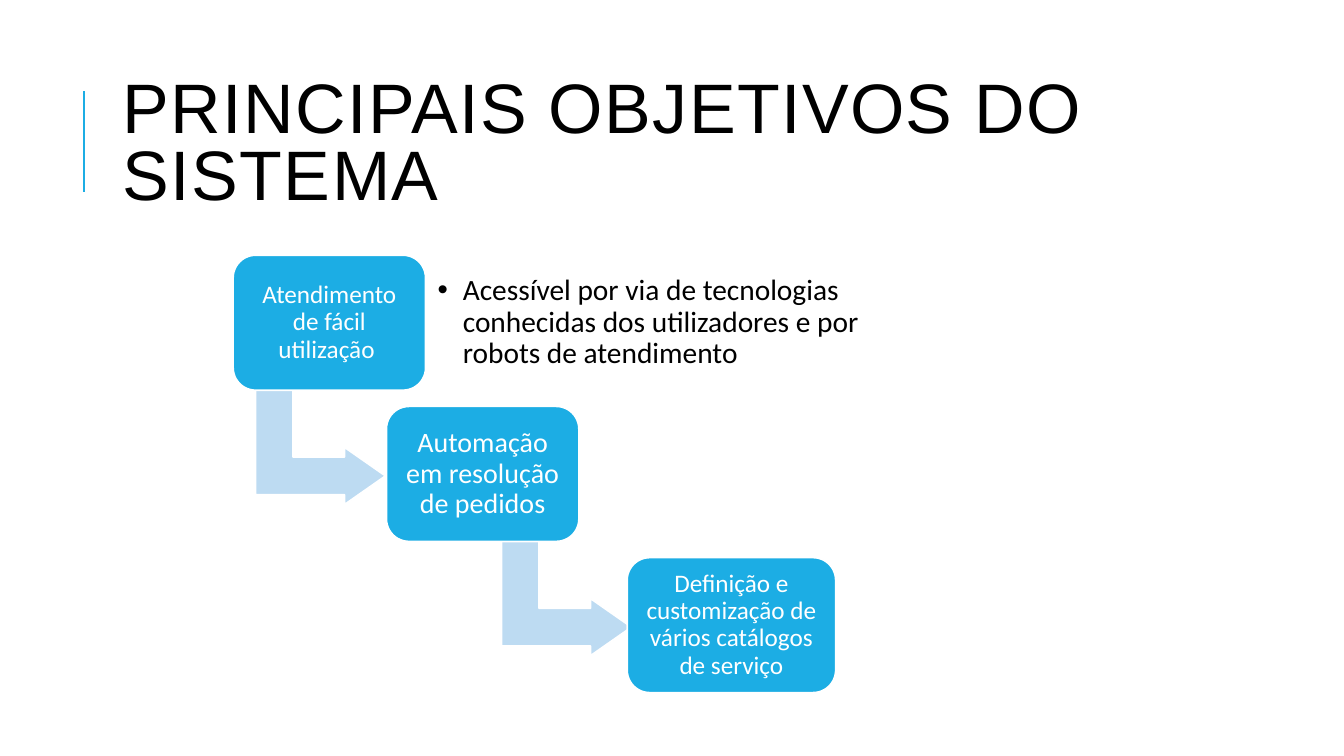
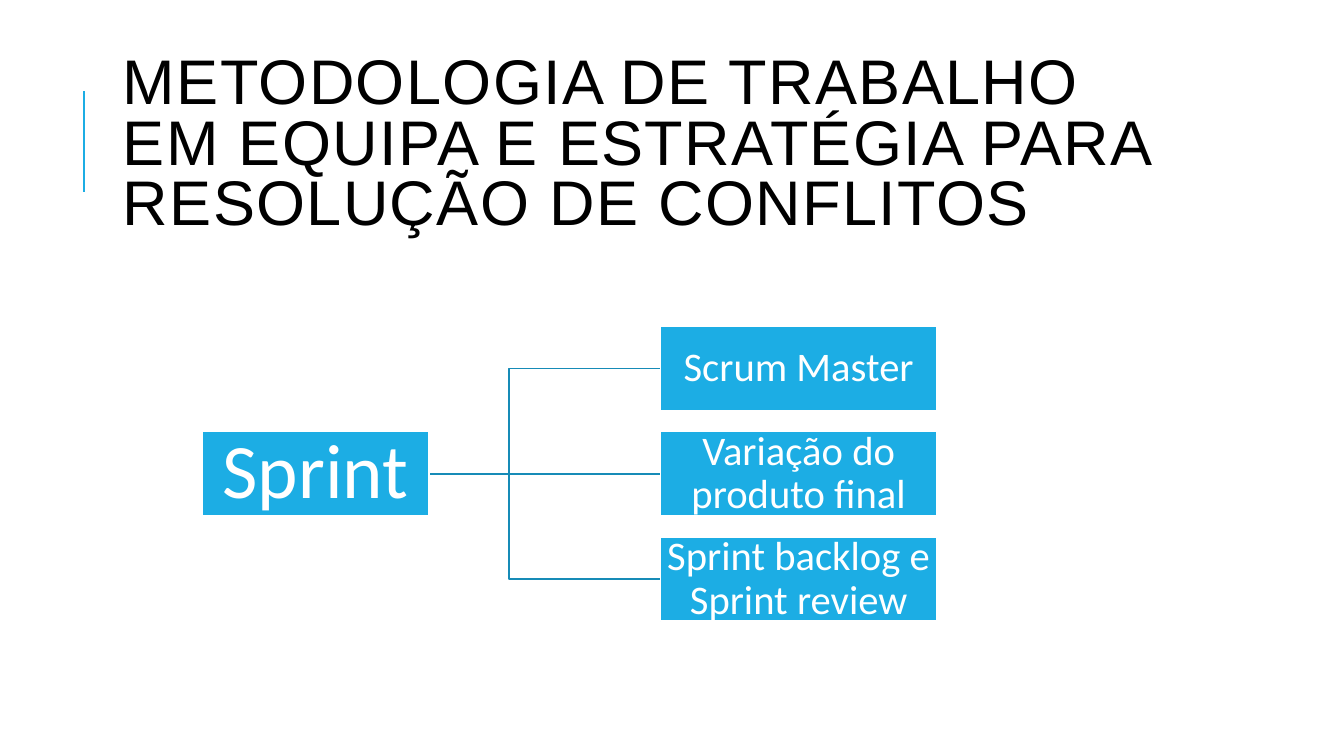
from lxml import etree
from pptx import Presentation
from pptx.dml.color import RGBColor
from pptx.enum.shapes import MSO_CONNECTOR, MSO_SHAPE
from pptx.enum.text import MSO_ANCHOR, MSO_AUTO_SIZE, PP_ALIGN
from pptx.oxml.ns import qn
from pptx.util import Pt

STRAIGHT, ELBOW = MSO_CONNECTOR.STRAIGHT, MSO_CONNECTOR.ELBOW
ROUNDED, RECTANGLE = MSO_SHAPE.ROUNDED_RECTANGLE, MSO_SHAPE.RECTANGLE
BENT_ARROW = MSO_SHAPE.BENT_UP_ARROW
MIDDLE, NO_FIT = MSO_ANCHOR.MIDDLE, MSO_AUTO_SIZE.NONE
LEFT, CENTER = PP_ALIGN.LEFT, PP_ALIGN.CENTER

COLORS = {
    "accent": "1CADE4",
    "pale": "BDDBF2",
    "branch": "168BB7",
    "text": "000000",
    "white": "FFFFFF",
}
HEADING_FONT, BODY_FONT = "Arial", "Calibri"
TITLE_AND_CONTENT, TITLE_ONLY = 1, 5
TITLE_BOX = (80.6, 46.1, 765.4, 118.1)


def color(name):
    """Return the named palette colour."""
    return RGBColor.from_string(COLORS[name])


def apply(target, values):
    """Set each attribute in values on the target."""
    for name, value in values.items():
        setattr(target, name, value)


def place(shape, box):
    """Move and size a shape to a box in points."""
    apply(shape, dict(zip(("left", "top", "width", "height"), map(Pt, box))))


def write(shape, text, size, inset, font=BODY_FONT, ink="white", align=CENTER, spacing=0.9):
    """Fill a shape with one formatted paragraph and return it."""
    frame = shape.text_frame
    margins = dict.fromkeys(("margin_left", "margin_top", "margin_right", "margin_bottom"), Pt(inset))
    apply(frame, {"word_wrap": True, "auto_size": NO_FIT, "vertical_anchor": MIDDLE, **margins})
    para = frame.paragraphs[0]
    apply(para, {"alignment": align, "line_spacing": spacing, "space_before": Pt(0)})
    span = para.add_run()
    span.text = text
    apply(span.font, {"name": font, "size": Pt(size)})
    span.font.color.rgb = color(ink)
    return para


def add_block(page, preset, box, fill, adjustments=()):
    """Add a flat preset shape with a white outline."""
    shape = page.shapes.add_shape(preset, *map(Pt, box))
    shape.shadow.inherit = False
    shape.fill.solid()
    shape.fill.fore_color.rgb = color(fill)
    shape.line.color.rgb = color("white")
    shape.line.width = Pt(1.25)
    for index, value in enumerate(adjustments):
        shape.adjustments[index] = value
    return shape


def add_line(page, kind, start, end, ink, width):
    """Add a connector without shadow between two points."""
    line = page.shapes.add_connector(kind, *map(Pt, start + end))
    line.line.color.rgb = color(ink)
    line.line.width = Pt(width)
    etree.SubElement(line._element.spPr, qn("a:effectLst"))


def add_page(deck, layout, title, size):
    """Add a slide with the shared accent rule and title style."""
    page = deck.slides.add_slide(deck.slide_layouts[layout])
    add_line(page, STRAIGHT, (60, 136.8), (60, 64.8), "accent", 1.5)
    heading = page.shapes.title
    place(heading, TITLE_BOX)
    para = write(heading, title, size, 7.2, HEADING_FONT, "text", LEFT, 0.8)
    para.runs[0].font._element.set("spc", "100")
    return page


def add_bullet(page, box, text):
    """Place the body placeholder as a bulleted description."""
    body = page.placeholders[1]
    place(body, box)
    para = write(body, text, 21, 8, ink="text", align=LEFT)
    indent = Pt(18)
    properties = para._p.get_or_add_pPr()
    properties.set("marL", str(indent))
    properties.set("indent", str(-indent))


def add_staircase(page, left, top, steps):
    """Draw descending steps, each joined to the next by a bent arrow."""
    height, pitch = 96.5, 108
    for index, (offset, width, size, inset, arrow_offset, text) in enumerate(steps):
        step_left, step_top = left + offset, top + index * pitch
        if arrow_offset is not None:
            arrow_box = (step_left + arrow_offset, step_top + 90.7, 82, 92.9)
            arrow = add_block(page, BENT_ARROW, arrow_box, "pale", (0.328, 0.25, 0.358))
            arrow.rotation = 90
        step = add_block(page, ROUNDED, (step_left, step_top, width, height), "accent", (0.167,))
        write(step, text, size, inset)


def add_tree(page, box, root, leaves):
    """Draw a root block branching to evenly spaced leaf blocks."""
    left, top, width, height = box
    root_width, leaf_width, block_height = 162, 197.5, 60.3
    leaf_left = left + width - leaf_width
    pitch = (height - block_height) / (len(leaves) - 1)
    middle = top + height / 2
    centers = [top + block_height / 2 + index * pitch for index in range(len(leaves))]
    for center in centers:
        kind = STRAIGHT if abs(center - middle) < 1 else ELBOW
        add_line(page, kind, (left + 111, middle), (leaf_left, center), "branch", 1.25)
    root_box = (left, middle - block_height / 2, root_width, block_height)
    write(add_block(page, RECTANGLE, root_box, "accent"), root, 55, 2.75)
    for center, text in zip(centers, leaves):
        leaf_box = (leaf_left, center - block_height / 2, leaf_width, block_height)
        write(add_block(page, RECTANGLE, leaf_box, "accent"), text, 29, 1.45)


def add_goals(deck):
    """Build the slide of system goals."""
    page = add_page(deck, TITLE_AND_CONTENT, "PRINCIPAIS OBJETIVOS DO SISTEMA", 50)
    add_staircase(page, 166.5, 182.3, [
        (0, 137.5, 18, 5, 21.4, "Atendimento de fácil utilização "),
        (109.5, 137.5, 20, 5.5, 87.6, "Automação em resolução de pedidos"),
        (281.5, 149, 18, 5, None, "Definição e customização de vários catálogos de serviço"),
    ])
    add_bullet(page, (304.6, 191.5, 353.5, 77.8),
               "Acessível por via de tecnologias conhecidas dos utilizadores e por robots de atendimento")


def add_method(deck):
    """Build the slide of team method."""
    title = "METODOLOGIA DE TRABALHO EM EQUIPA E ESTRATÉGIA PARA RESOLUÇÃO DE CONFLITOS"
    page = add_page(deck, TITLE_ONLY, title, 45)
    leaves = ["Scrum Master", "Variação do produto final", "Sprint backlog e Sprint review"]
    add_tree(page, (144.3, 233.1, 525, 210.7), "Sprint", leaves)


def main():
    """Build and save the deck."""
    deck = Presentation()
    apply(deck, {"slide_width": Pt(960), "slide_height": Pt(540)})
    add_goals(deck)
    add_method(deck)
    deck.save("out.pptx")


main()
